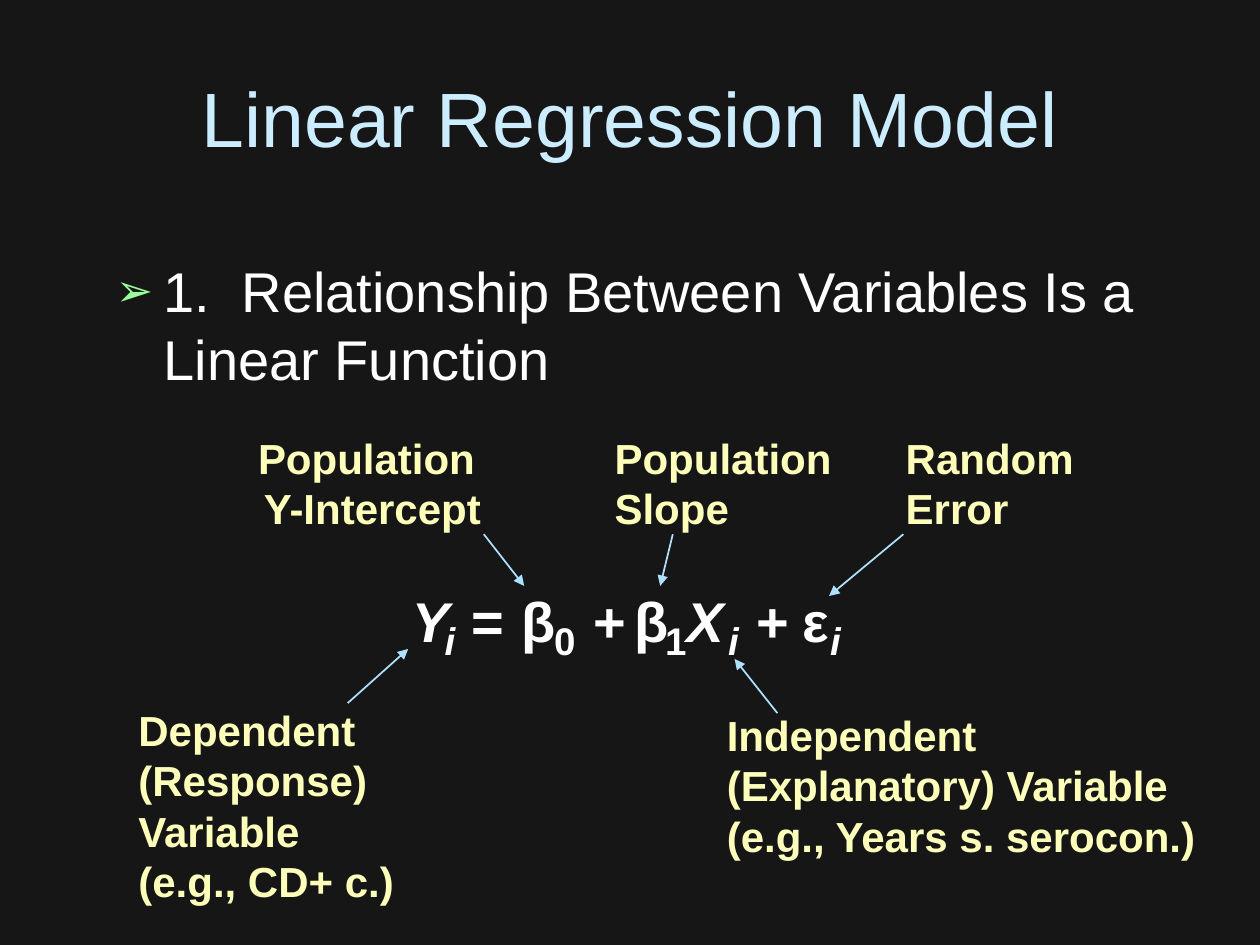
from typing import NamedTuple

from lxml.etree import SubElement
from pptx import Presentation
from pptx.dml.color import RGBColor
from pptx.enum.shapes import MSO_CONNECTOR
from pptx.enum.text import MSO_ANCHOR, MSO_AUTO_SIZE, PP_ALIGN
from pptx.oxml.ns import qn
from pptx.util import Inches, Pt

FONT = "Arial"
BACKGROUND, WHITE, TITLE_BLUE = "161616", "FFFFFF", "CCECFF"
LABEL_YELLOW, ARROW_BLUE, BULLET_GREEN = "FCFEB9", "AFE1FF", "99FF99"


class Term(NamedTuple):
    """One symbol of the equation; subscripts are smaller and sit lower."""
    text: str
    left: float
    width: float
    subscript: bool = False
    italic: bool = False


class Label(NamedTuple):
    text: str
    left: float
    top: float
    width: float
    height: float
    align: PP_ALIGN = PP_ALIGN.LEFT


class Arrow(NamedTuple):
    start: tuple[float, float]
    end: tuple[float, float]


TERMS = [
    Term("Y", 3.17, 0.5, italic=True),
    Term("i", 3.43, 0.28, subscript=True, italic=True),
    Term("=", 3.64, 0.55),
    Term("β", 4.04, 0.44),
    Term("0", 4.3, 0.37, subscript=True),
    Term("+", 4.61, 0.46),
    Term("β", 4.94, 0.44),
    Term("1", 5.18, 0.37, subscript=True),
    Term("X", 5.35, 0.5, italic=True),
    Term("i", 5.68, 0.28, subscript=True, italic=True),
    Term("+", 5.91, 0.46),
    Term("ε", 6.27, 0.39),
    Term("i", 6.49, 0.28, subscript=True, italic=True),
]
LABELS = [
    Label("Population \vY-Intercept", 1.75, 3.38, 2.41, 0.9, PP_ALIGN.CENTER),
    Label("Population Slope", 4.78, 3.38, 1.97, 0.9),
    Label("Random Error", 7.09, 3.38, 1.74, 0.9),
    Label("Dependent (Response) Variable\v(e.g., CD+ c.)", 1, 5.54, 2.41, 1.7),
    Label("Independent (Explanatory) Variable \v(e.g., Years s. serocon.)",
          5.67, 5.58, 4.08, 1.3),
]
ARROWS = [
    Arrow((3.84, 4.24), (4.16, 4.65)),
    Arrow((5.34, 4.24), (5.24, 4.65)),
    Arrow((7.17, 4.24), (6.58, 4.73)),
    Arrow((2.76, 5.58), (3.24, 5.15)),
    Arrow((6.17, 5.66), (5.83, 5.23)),
]


def color(value: str) -> RGBColor:
    return RGBColor.from_string(value)


def style(para, size: float, hex_color: str, bold=False, italic=False) -> None:
    font = para.font
    font.name, font.size = FONT, Pt(size)
    font.bold, font.italic = bold, italic
    font.color.rgb = color(hex_color)


def add_text(page, text: str, left: float, top: float, width: float,
             height: float, wrap: bool = True, grow: bool = True):
    """Add a one-paragraph text box and return its paragraph."""
    box = page.shapes.add_textbox(Inches(left), Inches(top),
                                  Inches(width), Inches(height))
    frame = box.text_frame
    frame.word_wrap = wrap
    frame.auto_size = (MSO_AUTO_SIZE.SHAPE_TO_FIT_TEXT if grow
                       else MSO_AUTO_SIZE.NONE)
    para = frame.paragraphs[0]
    para.text = text
    return para


def add_title(page) -> None:
    title = page.shapes.title
    title.left, title.top = Inches(0.5), Inches(0.3)
    title.width, title.height = Inches(9), Inches(1.25)
    frame = title.text_frame
    frame.text = "Linear Regression Model"
    frame.auto_size = MSO_AUTO_SIZE.NONE
    frame.vertical_anchor = MSO_ANCHOR.MIDDLE
    frame.paragraphs[0].alignment = PP_ALIGN.CENTER
    style(frame.paragraphs[0], 44, TITLE_BLUE)


def add_statement(page) -> None:
    para = add_text(page, "1.\tRelationship Between Variables Is a Linear Function",
                    0.82, 1.99, 8.59, 4.61, grow=False)
    para.space_before = Pt(8)
    properties = para._p.get_or_add_pPr()
    properties.set("marL", str(Inches(0.38)))
    properties.set("indent", str(-Inches(0.38)))
    bullet_color = SubElement(properties, qn("a:buClr"))
    SubElement(bullet_color, qn("a:srgbClr"), val=BULLET_GREEN)
    SubElement(properties, qn("a:buSzPct"), val="80000")
    SubElement(properties, qn("a:buFont"), typeface=FONT)
    SubElement(properties, qn("a:buChar"), char="➢")
    tabs = SubElement(properties, qn("a:tabLst"))
    SubElement(tabs, qn("a:tab"), pos=str(Inches(1)), algn="l")
    style(para, 32, WHITE)


def add_term(page, term: Term) -> None:
    top, height, size = (4.85, 0.46, 22) if term.subscript else (4.61, 0.63, 32)
    para = add_text(page, term.text, term.left, top, term.width, height, wrap=False)
    style(para, size, WHITE, bold=True, italic=term.italic)


def add_label(page, label: Label) -> None:
    para = add_text(page, label.text, label.left, label.top,
                    label.width, label.height)
    para.alignment = label.align
    para.space_before = Pt(15)
    style(para, 24, LABEL_YELLOW, bold=True)


def add_arrow(page, arrow: Arrow) -> None:
    ends = [Inches(value) for value in (*arrow.start, *arrow.end)]
    connector = page.shapes.add_connector(MSO_CONNECTOR.STRAIGHT, *ends)
    connector.line.color.rgb = color(ARROW_BLUE)
    connector.line.width = Pt(1)
    SubElement(connector.line._get_or_add_ln(), qn("a:tailEnd"), type="triangle")
    SubElement(connector._element.spPr, qn("a:effectLst"))


def main() -> None:
    deck = Presentation()
    deck.slide_width, deck.slide_height = Inches(10), Inches(7.5)
    page = deck.slides.add_slide(deck.slide_layouts[5])
    fill = page.background.fill
    fill.solid()
    fill.fore_color.rgb = color(BACKGROUND)

    add_title(page)
    add_statement(page)
    for term in TERMS:
        add_term(page, term)
    for label in LABELS:
        add_label(page, label)
    for arrow in ARROWS:
        add_arrow(page, arrow)
    deck.save("out.pptx")


if __name__ == "__main__":
    main()
